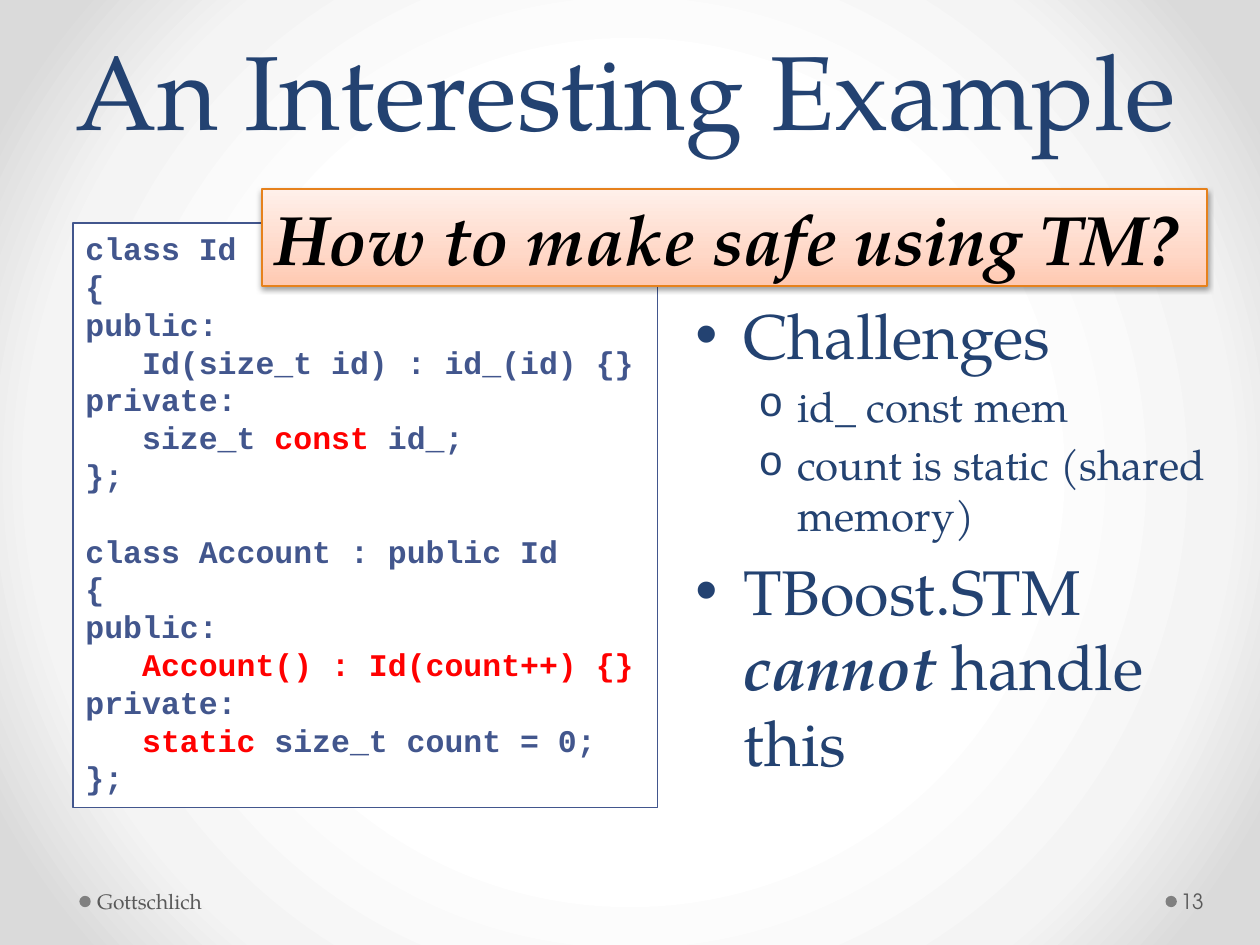
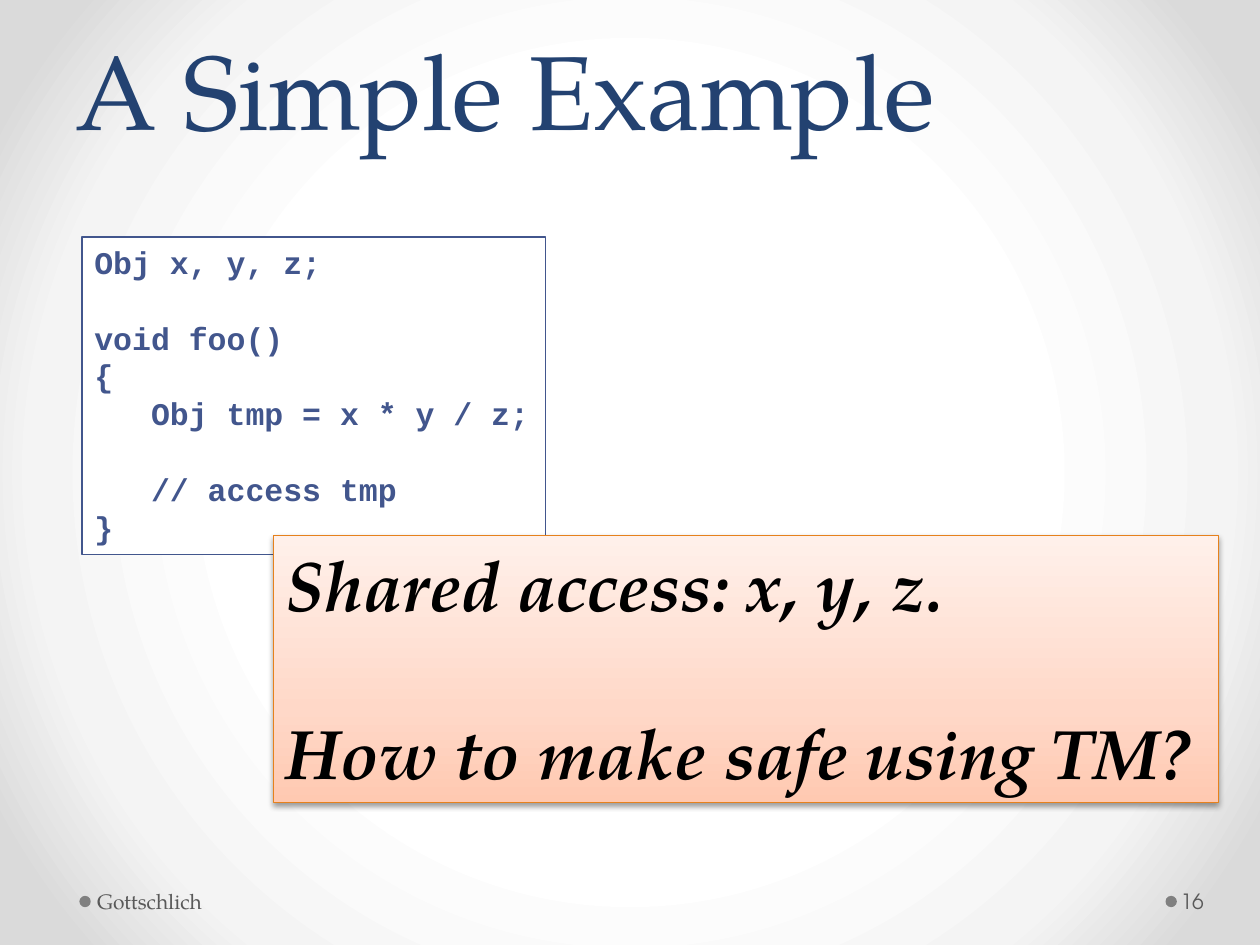
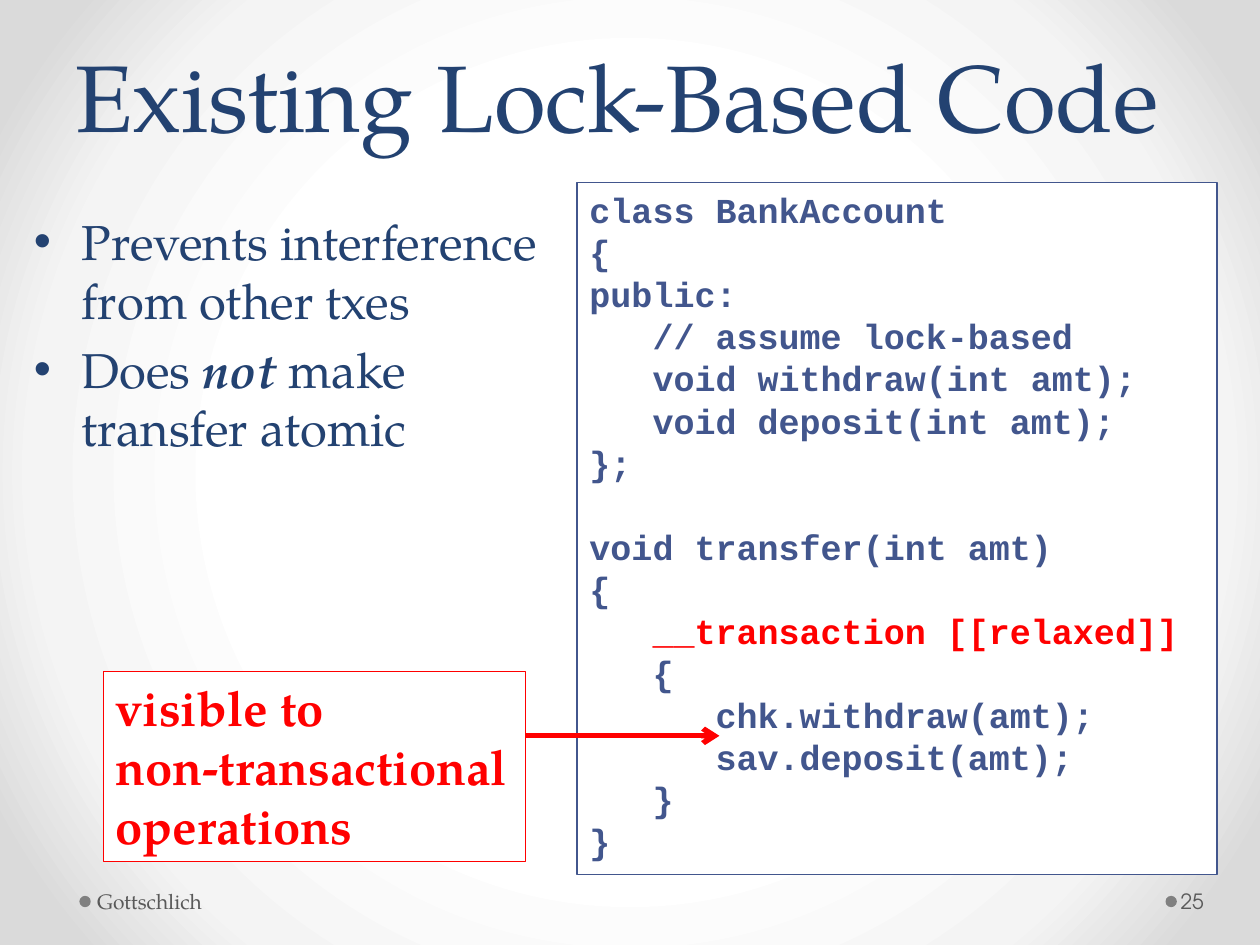
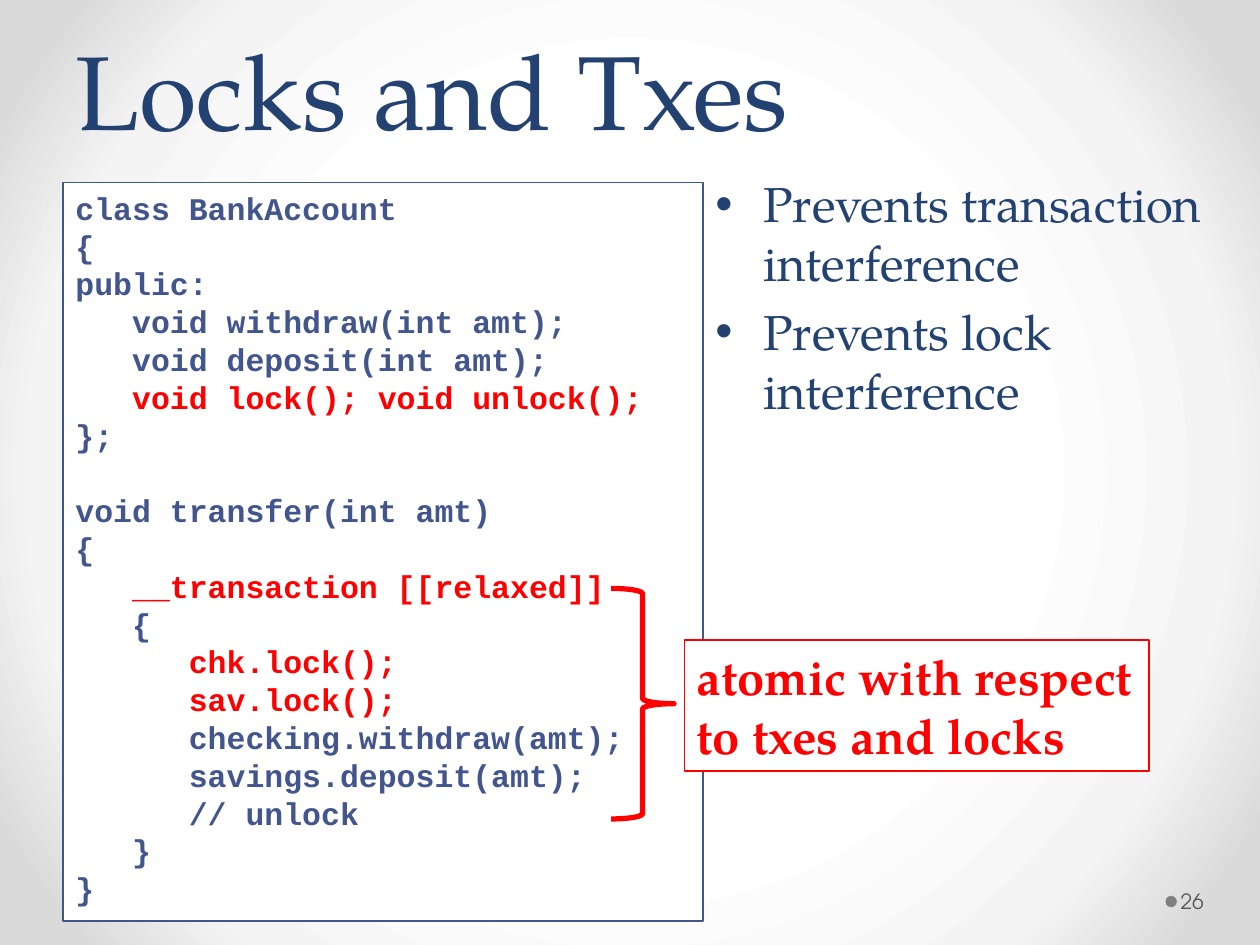
"""Builds four slides on transactional memory code examples."""
from lxml.etree import SubElement
from pptx import Presentation
from pptx.dml.color import RGBColor
from pptx.enum.shapes import MSO_CONNECTOR as Connector, MSO_SHAPE as Shape
from pptx.enum.text import MSO_ANCHOR as Anchor, MSO_AUTO_SIZE as AutoSize, PP_ALIGN as Align
from pptx.oxml.ns import qn
from pptx.util import Inches, Pt

COLORS = {
    "title": "234271", "code": "42568D", "red": "FF0000", "white": "FFFFFF",
    "black": "000000", "footer": "595959", "dot": "808080", "orange": "E6811C",
}
SERIF, SANS, MONO = "TeX Gyre Pagella", "TeX Gyre Adventor", "Courier New"
BACKDROP = [(50, "FFFFFF"), (76, "F4F4F4"), (92, "DADADA")]
PEACH = [(0, "FFC9B1"), (35, "FFD8C8"), (100, "FFF0EA")]
BULLETS = [
    {"sign": "•", "font": "Arial", "margin": 0.38, "hang": 0.38},
    {"sign": "o", "font": MONO, "margin": 0.81, "hang": 0.31},
]
LINE_HEIGHT = 1.2

ID_CLASSES = """class Id
{
public:
   Id(size_t id) : id_(id) {}
private:
   size_t |const |id_;
};

class Account : public Id
{
public:
|   Account() : Id(count++) {}
private:
   |static |size_t count = 0;
};"""

FOO = """Obj x, y, z;

void foo()
{
   Obj tmp = x * y / z;

   // access tmp
}"""

LOCK_BASED = """class BankAccount
{
public:
   // assume lock-based
   void withdraw(int amt);
   void deposit(int amt);
};

void transfer(int amt)
{
|   __transaction [[relaxed]]
   {
      chk.withdraw(amt);
      sav.deposit(amt);
   }
}"""

LOCKS_AND_TXES = """class BankAccount
{
public:
   void withdraw(int amt);
   void deposit(int amt);
|   void lock(); void unlock();
};

void transfer(int amt)
{
|   __transaction [[relaxed]]
   {
|      chk.lock();
|      sav.lock();
      checking.withdraw(amt);
      savings.deposit(amt);
      // unlock
   }
}"""

SLIDES = [
    {"title": "An Interesting Example", "number": 13, "parts": [
        ("code", (0.58, 1.77, 4.64, 4.64), ID_CLASSES, 18),
        ("bullets", (5.42, 2.3, 4.25, 4.11), [
            (0, "Challenges", 36),
            (1, "id_ const mem", 24),
            (1, "count is static (shared memory)", 24),
            (0, "TBoost.STM |cannot| handle this", 36)]),
        ("callout", (2.08, 1.5, 7.5, 0.77), "How to make safe using TM?")]},
    {"title": "A Simple Example", "number": 16, "parts": [
        ("code", (0.65, 1.88, 3.68, 2.52), FOO, 18),
        ("callout", (2.17, 4.25, 7.5, 2.12),
         "Shared access: x, y, z.\n\nHow to make safe using TM?")]},
    {"title": "Existing Lock-Based Code", "title_size": 54, "number": 25, "parts": [
        ("code", (4.58, 1.45, 5.08, 5.49), LOCK_BASED, 20),
        ("bullets", (0.17, 1.63, 4.25, 3.95), [
            (0, "Prevents interference from other txes", 28),
            (0, "Does |not |make transfer atomic", 28)]),
        ("arrow", (3.71, 5.84, 5.71, 5.84)),
        ("note", (0.82, 5.33, 3.35, 1.51), "visible to\nnon-transactional\noperations")]},
    {"title": "Locks and Txes", "number": 26, "author": "", "parts": [
        ("code", (0.5, 1.45, 5.08, 5.86), LOCKS_AND_TXES, 18),
        ("bullets", (5.58, 1.33, 4.25, 3.95), [
            (0, "Prevents transaction interference", 28),
            (0, "Prevents lock interference", 28)]),
        ("note", (5.43, 5.08, 3.69, 1.04), "atomic with respect\nto txes and locks"),
        ("brace", (4.85, 4.67, 0.5, 1.83))]},
]


def rgb(name):
    return RGBColor.from_string(COLORS[name])


def set_gradient(fill, owner, stops):
    """Turns a fill into a gradient with the given stops and returns its element."""
    fill.gradient()
    gradient = owner.find(".//" + qn("a:gradFill"))
    for child in list(gradient):
        gradient.remove(child)
    stop_list = SubElement(gradient, qn("a:gsLst"))
    for position, color in stops:
        stop = SubElement(stop_list, qn("a:gs"), pos=str(position * 1000))
        SubElement(stop, qn("a:srgbClr"), val=color)
    return gradient


def set_backdrop(master):
    gradient = set_gradient(master.background.fill, master.element, BACKDROP)
    path = SubElement(gradient, qn("a:path"), path="circle")
    SubElement(path, qn("a:fillToRect"), l="50000", t="50000", r="50000", b="50000")


def set_bullet(para, level):
    style = BULLETS[level]
    props = para._p.get_or_add_pPr()
    props.set("marL", str(Inches(style["margin"])))
    props.set("indent", str(-Inches(style["hang"])))
    SubElement(props, qn("a:buFont"), typeface=style["font"])
    SubElement(props, qn("a:buChar"), char=style["sign"])
    para.level = level


def write(para, text, size=18, font=SERIF, color="title", bold=False, italic=False, accent=None):
    """Writes text in a paragraph; parts between bars take the accent format."""
    para.alignment = Align.LEFT
    for index, part in enumerate(text.split("|")):
        if not part:
            continue
        look = {"color": color, "bold": bold, "italic": italic}
        if index % 2:
            look.update(accent)
        span = para.add_run()
        span.text = part
        span.font.name, span.font.size = font, Pt(size)
        span.font.bold, span.font.italic = look["bold"], look["italic"]
        span.font.color.rgb = rgb(look["color"])


def write_lines(frame, text, size, **style):
    """Writes one paragraph a line and turns empty lines into space before."""
    gap, para = 0, None
    for line in text.split("\n"):
        if not line:
            gap += LINE_HEIGHT * size
            continue
        para = frame.add_paragraph() if para else frame.paragraphs[0]
        if gap:
            para.space_before = Pt(gap)
        gap = 0
        write(para, line, size=size, **style)


def add_text(page, at, anchor=Anchor.TOP, insets=(0.1, 0.05, 0.1, 0.05)):
    frame = page.shapes.add_textbox(*map(Inches, at)).text_frame
    frame.word_wrap = True
    frame.vertical_anchor = anchor
    frame.margin_left, frame.margin_top, frame.margin_right, frame.margin_bottom = map(Inches, insets)
    return frame


def add_shape(page, at, kind=Shape.RECTANGLE, fill=None, line=None, width=0.75):
    shape = page.shapes.add_shape(kind, *map(Inches, at))
    shape.shadow.inherit = False
    if fill:
        shape.fill.solid()
        shape.fill.fore_color.rgb = rgb(fill)
    else:
        shape.fill.background()
    if line:
        shape.line.color.rgb = rgb(line)
        shape.line.width = Pt(width)
    else:
        shape.line.fill.background()
    return shape


def add_panel(page, at, text, size, fill="white", line="code", wrap=True, **style):
    box = add_shape(page, at, fill=fill, line=line)
    frame = box.text_frame
    frame.word_wrap = wrap
    frame.auto_size = AutoSize.SHAPE_TO_FIT_TEXT
    frame.vertical_anchor = Anchor.TOP
    write_lines(frame, text, size, bold=True, **style)
    return box


def add_code(page, at, text, size):
    add_panel(page, at, text, size, font=MONO, color="code", accent={"color": "red"})


def add_note(page, at, text):
    add_panel(page, at, text, 28, line="red", wrap=False, color="red")


def add_callout(page, at, text):
    box = add_panel(page, at, text, 40, line="orange", color="black", italic=True)
    gradient = set_gradient(box.fill, box.element, PEACH)
    SubElement(gradient, qn("a:lin"), ang="16200000", scaled="0")
    effects = box.element.spPr.find(qn("a:effectLst"))
    shadow = SubElement(effects, qn("a:outerShdw"), blurRad=str(Pt(3.1)), dist=str(Pt(1.6)),
                        dir="5400000", rotWithShape="0")
    tint = SubElement(shadow, qn("a:srgbClr"), val=COLORS["black"])
    SubElement(tint, qn("a:alpha"), val="38000")


def add_bullets(page, at, items):
    frame = add_text(page, at)
    for index, (level, text, size) in enumerate(items):
        para = frame.add_paragraph() if index else frame.paragraphs[0]
        set_bullet(para, level)
        if index:
            para.space_before = Pt(0.2 * size)
        write(para, text, size=size, accent={"bold": True, "italic": True})


def add_arrow(page, ends):
    arrow = page.shapes.add_connector(Connector.STRAIGHT, *map(Inches, ends))
    arrow.line.color.rgb = rgb("red")
    arrow.line.width = Pt(3)
    SubElement(arrow.line._get_or_add_ln(), qn("a:tailEnd"), type="arrow")
    SubElement(arrow._element.spPr, qn("a:effectLst"))


def add_brace(page, at):
    add_shape(page, at, Shape.RIGHT_BRACE, line="red", width=3)


def add_footer(page, left, width, text, font, insets):
    dot = 0.09
    add_shape(page, (left - dot, 7.11, dot, dot), Shape.OVAL, fill="dot")
    frame = add_text(page, (left, 6.95, width, 0.4), Anchor.MIDDLE, insets)
    write(frame.paragraphs[0], text, size=12, font=font, color="footer")


def add_frame(page, title, number, title_size=60, author="Gottschlich"):
    """Adds the title and the footers that every slide shares."""
    para = add_text(page, (0.5, 0, 9, 1.25), Anchor.BOTTOM).paragraphs[0]
    para.line_spacing = Pt(58)
    write(para, title, size=title_size)
    if author:
        add_footer(page, 0.72, 3.11, author, SERIF, (0.05, 0.05, 0.1, 0.05))
    add_footer(page, 9.34, 0.61, str(number), SANS, (0.03, 0.05, 0.05, 0.05))


BUILDERS = {"code": add_code, "bullets": add_bullets, "callout": add_callout,
            "note": add_note, "arrow": add_arrow, "brace": add_brace}


def main():
    deck = Presentation()
    deck.slide_width, deck.slide_height = Inches(10), Inches(7.5)
    set_backdrop(deck.slide_master)
    for content in SLIDES:
        page = deck.slides.add_slide(deck.slide_layouts[6])
        add_frame(page, **{key: value for key, value in content.items() if key != "parts"})
        for kind, *details in content["parts"]:
            BUILDERS[kind](page, *details)
    deck.save("out.pptx")


if __name__ == "__main__":
    main()
